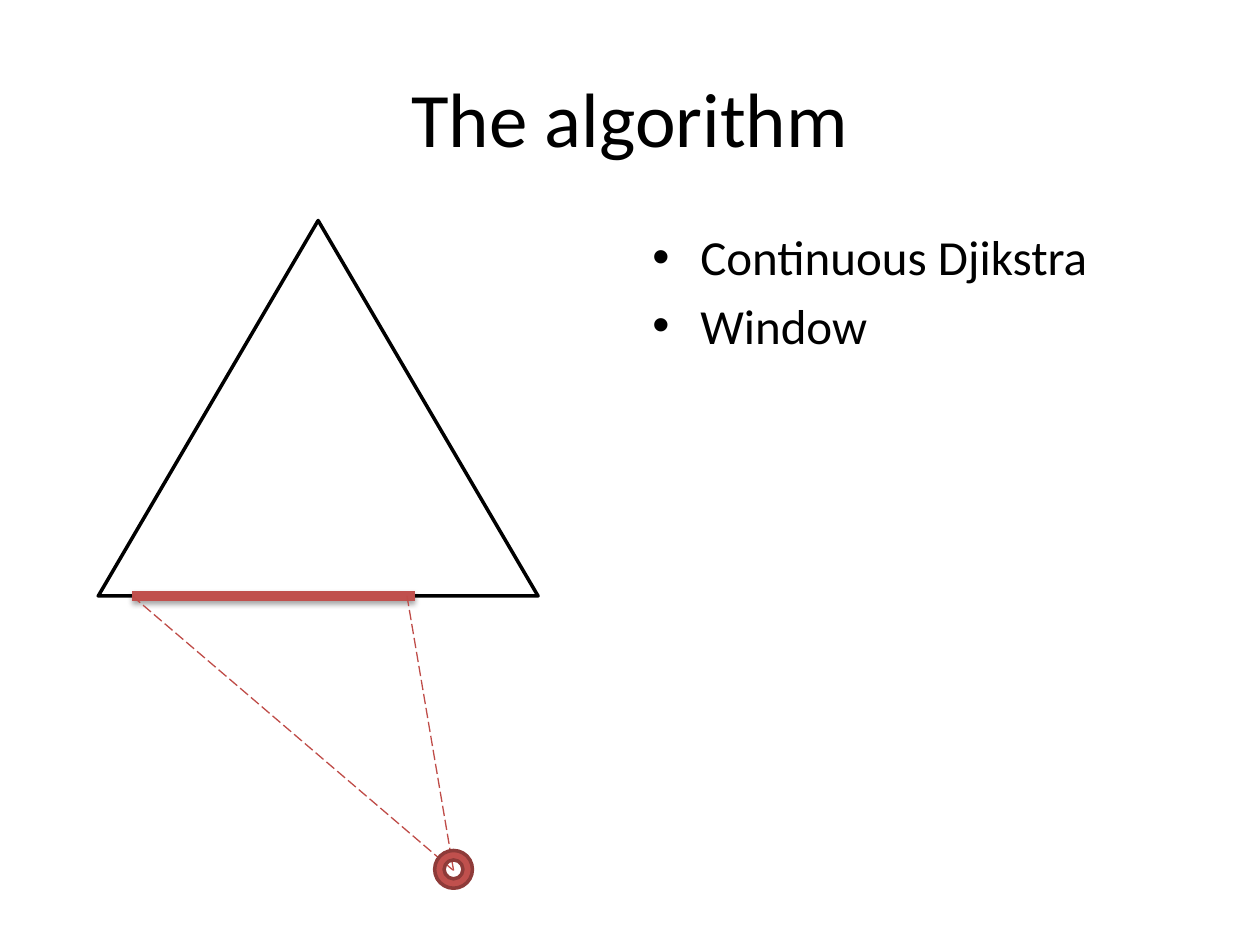
"""Builds the slide that shows a window on a triangle edge, seen from a source point."""
from dataclasses import dataclass
from typing import Optional

from lxml import etree
from pptx import Presentation
from pptx.dml.color import RGBColor
from pptx.enum import dml, shapes, text
from pptx.oxml import ns
from pptx.util import Inches, Pt


@dataclass(frozen=True)
class Theme:
    font: str = "Calibri"
    title_size: float = 44
    body_size: float = 28
    ink: str = "000000"
    paper: str = "FFFFFF"
    accent: str = "C0504D"
    ray: str = "BF4C48"
    rim: str = "8E3B39"


@dataclass(frozen=True)
class Outline:
    preset: shapes.MSO_SHAPE
    left: float
    top: float
    width: float
    height: float
    fill: str
    line: str


@dataclass(frozen=True)
class Segment:
    start: tuple[float, float]
    end: tuple[float, float]
    color: str
    weight: float
    dash: Optional[dml.MSO_LINE] = None
    shadow: bool = False


THEME = Theme()
EDGE_Y = 4.73
SOURCE = (3.6, 6.91)
SOURCE_SIZE = 0.3
WINDOW = (1.05, 3.29)
RAY_STARTS = (WINDOW[0], 3.23)
BULLETS = ("Continuous Djikstra", "Window")

TRIANGLE = Outline(shapes.MSO_SHAPE.ISOSCELES_TRIANGLE, 0.78, 1.75, 3.49, 2.98,
                   THEME.paper, THEME.ink)
SOURCE_RING = Outline(shapes.MSO_SHAPE.DONUT, SOURCE[0] - SOURCE_SIZE / 2, 6.75,
                      SOURCE_SIZE, SOURCE_SIZE, THEME.accent, THEME.rim)
SEGMENTS = (
    Segment((WINDOW[0], EDGE_Y), (WINDOW[1], EDGE_Y), THEME.accent, 6, shadow=True),
    *(Segment((x, EDGE_Y), SOURCE, THEME.ray, 0.75, dml.MSO_LINE.LONG_DASH)
      for x in RAY_STARTS),
)


def place(box, left: float, top: float, width: float, height: float) -> None:
    """Move and size a box in inches."""
    box.left, box.top = Inches(left), Inches(top)
    box.width, box.height = Inches(width), Inches(height)


def style(para, size: float) -> None:
    """Give a paragraph the theme font."""
    para.font.name = THEME.font
    para.font.size = Pt(size)
    para.font.color.rgb = RGBColor.from_string(THEME.ink)


def add_title(page, wording: str) -> None:
    """Fill and format the title placeholder."""
    title = page.shapes.title
    place(title, 0.5, 0.3, 9, 1.25)
    frame = title.text_frame
    frame.text = wording
    frame.vertical_anchor = text.MSO_ANCHOR.MIDDLE
    para = frame.paragraphs[0]
    para.alignment = text.PP_ALIGN.CENTER
    style(para, THEME.title_size)


def add_bullets(page, items: tuple[str, ...]) -> None:
    """Write a bulleted list with hanging indents."""
    box = page.shapes.add_textbox(*map(Inches, (5.08, 1.75, 4.42, 4.95)))
    frame = box.text_frame
    frame.word_wrap = True
    frame.text = "\n".join(items)
    for para in frame.paragraphs:
        style(para, THEME.body_size)
        para.space_before = Pt(THEME.body_size * 0.2)
        props = para._p.get_or_add_pPr()
        props.set("marL", str(Inches(0.38)))
        props.set("indent", str(Inches(-0.38)))
        etree.SubElement(props, ns.qn("a:buFont"), typeface="Arial")
        etree.SubElement(props, ns.qn("a:buChar"), char="•")


def add_outline(page, outline: Outline) -> None:
    """Draw a filled preset shape with a two-point line."""
    shape = page.shapes.add_shape(
        outline.preset,
        *map(Inches, (outline.left, outline.top, outline.width, outline.height)))
    shape.shadow.inherit = False
    shape.fill.solid()
    shape.fill.fore_color.rgb = RGBColor.from_string(outline.fill)
    shape.line.color.rgb = RGBColor.from_string(outline.line)
    shape.line.width = Pt(2)


def add_segment(page, segment: Segment) -> None:
    """Draw a straight line, with a soft drop shadow if asked for."""
    line = page.shapes.add_connector(
        shapes.MSO_CONNECTOR.STRAIGHT, *map(Inches, segment.start + segment.end))
    line.line.color.rgb = RGBColor.from_string(segment.color)
    line.line.width = Pt(segment.weight)
    if segment.dash is not None:
        line.line.dash_style = segment.dash
    effects = etree.SubElement(line._element.spPr, ns.qn("a:effectLst"))
    if segment.shadow:
        shadow = etree.SubElement(
            effects, ns.qn("a:outerShdw"), blurRad=str(Pt(3.1)), dist=str(Pt(1.8)),
            dir="5400000", rotWithShape="0")
        color = etree.SubElement(shadow, ns.qn("a:srgbClr"), val=THEME.ink)
        etree.SubElement(color, ns.qn("a:alpha"), val="35000")


def main() -> None:
    """Build and save the deck."""
    deck = Presentation()
    deck.slide_width, deck.slide_height = Inches(10), Inches(7.5)
    page = deck.slides.add_slide(deck.slide_layouts.get_by_name("Title Only"))
    add_title(page, "The algorithm")
    add_bullets(page, BULLETS)
    add_outline(page, TRIANGLE)
    for segment in SEGMENTS:
        add_segment(page, segment)
    add_outline(page, SOURCE_RING)
    deck.save("out.pptx")


if __name__ == "__main__":
    main()
